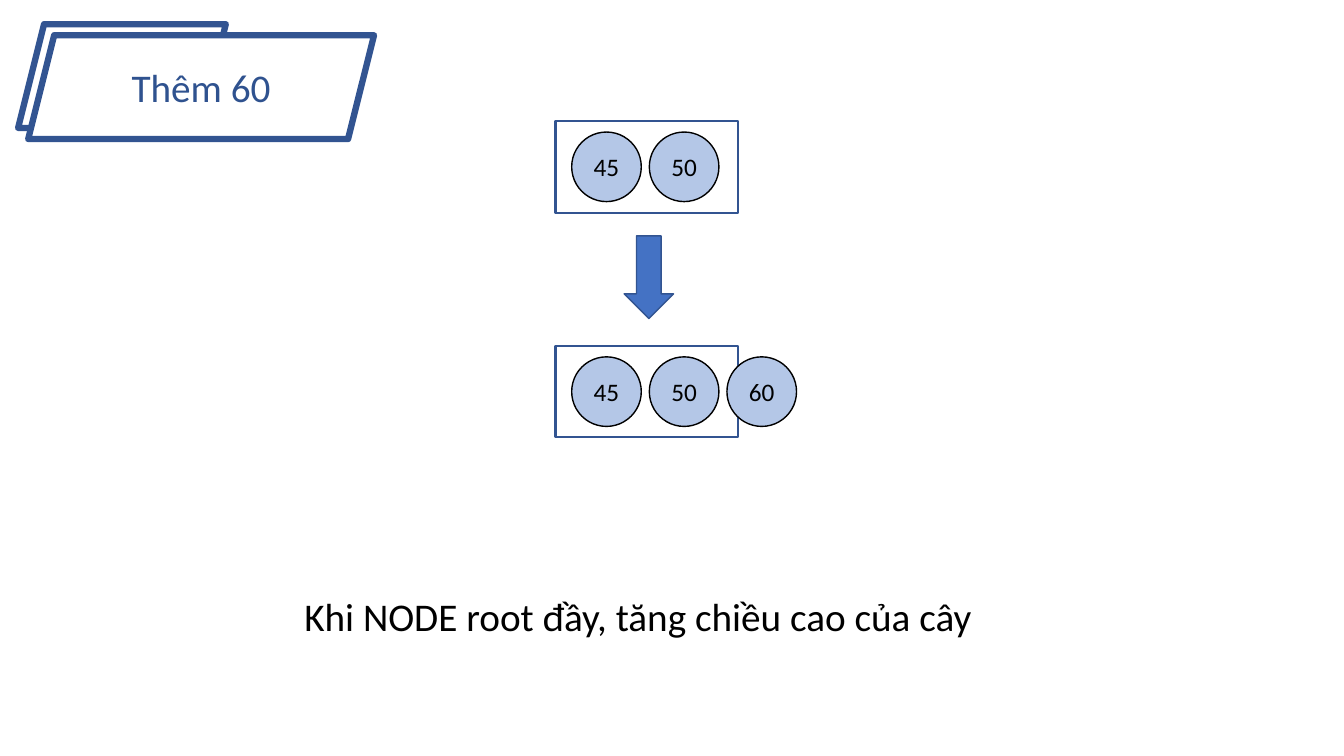
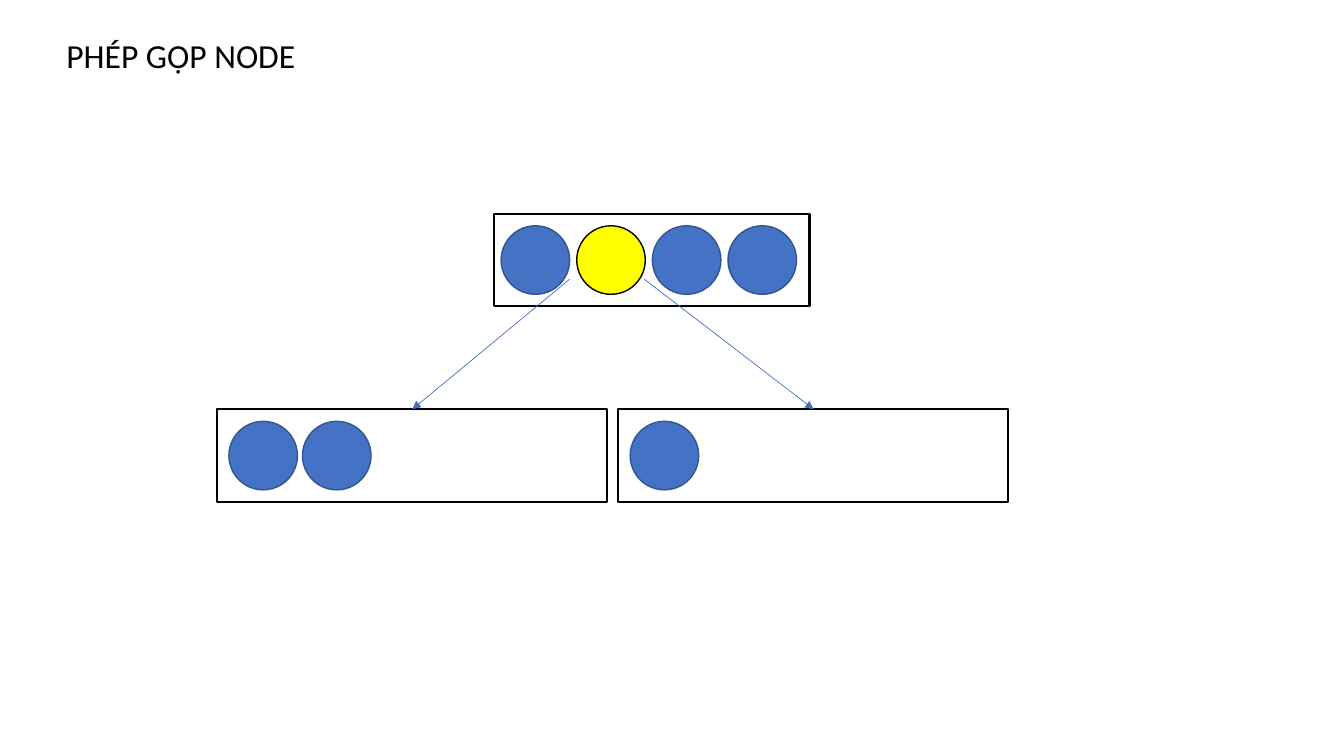
from dataclasses import dataclass
from typing import Optional

from lxml.etree import SubElement
from pptx import Presentation
from pptx.dml.color import RGBColor
from pptx.enum.shapes import MSO_CONNECTOR, MSO_SHAPE
from pptx.enum.text import MSO_ANCHOR, PP_ALIGN
from pptx.oxml.ns import qn
from pptx.shapes.autoshape import Shape
from pptx.slide import Slide
from pptx.util import Inches, Pt

BLACK = RGBColor(0x00, 0x00, 0x00)
WHITE = RGBColor(0xFF, 0xFF, 0xFF)
BLUE = RGBColor(0x44, 0x72, 0xC4)
NAVY = RGBColor(0x32, 0x54, 0x91)
TITLE_BLUE = RGBColor(0x2F, 0x52, 0x8F)
PALE_BLUE = RGBColor(0xB4, 0xC7, 0xE7)
YELLOW = RGBColor(0xFF, 0xFF, 0x00)
FONT = "Calibri"


@dataclass(frozen=True)
class KeyStyle:
    fill: RGBColor
    line: RGBColor
    size: float


LABELLED = KeyStyle(PALE_BLUE, BLACK, 0.69)
PLAIN = KeyStyle(BLUE, NAVY, 0.68)
PICKED = KeyStyle(YELLOW, BLACK, 0.68)


@dataclass(frozen=True)
class Key:
    style: KeyStyle
    label: str = ""


@dataclass(frozen=True)
class Node:
    left: float
    top: float
    width: float
    height: float
    line: RGBColor
    keys: tuple[Key, ...]
    inset: float
    pitch: float


@dataclass(frozen=True)
class Link:
    x1: float
    y1: float
    x2: float
    y2: float


KEY_45, KEY_50, KEY_60 = (Key(LABELLED, n) for n in ("45", "50", "60"))
INSERT_NODES = (
    Node(5.51, 1.2, 1.81, 0.91, NAVY, (KEY_45, KEY_50), 0.16, 0.77),
    Node(5.51, 3.43, 1.81, 0.91, NAVY, (KEY_45, KEY_50, KEY_60), 0.16, 0.77),
)
MERGE_NODES = (
    Node(4.9, 2.12, 3.13, 0.92, BLACK,
         (Key(PLAIN), Key(PICKED), Key(PLAIN), Key(PLAIN)), 0.07, 0.75),
    Node(2.15, 4.06, 3.87, 0.92, BLACK, (Key(PLAIN),) * 2, 0.12, 0.73),
    Node(6.13, 4.06, 3.87, 0.92, BLACK, (Key(PLAIN),), 0.12, 0.73),
)
MERGE_LINKS = (Link(5.65, 2.77, 4.09, 4.06), Link(6.39, 2.77, 8.07, 4.06))


def add_box(s: Slide, kind: MSO_SHAPE, left: float, top: float, width: float,
            height: float, fill: RGBColor, line: RGBColor, weight: float) -> Shape:
    sp = s.shapes.add_shape(kind, Inches(left), Inches(top), Inches(width), Inches(height))
    sp.shadow.inherit = False
    sp.fill.solid()
    sp.fill.fore_color.rgb = fill
    sp.line.color.rgb = line
    sp.line.width = Pt(weight)
    return sp


def write(sp: Shape, text: str, size: int, color: RGBColor,
          align: Optional[PP_ALIGN] = None) -> None:
    tf = sp.text_frame
    tf.word_wrap = True
    tf.text = text
    p = tf.paragraphs[0]
    p.alignment = align
    font = p.runs[0].font
    font.name, font.size, font.color.rgb = FONT, Pt(size), color


def add_text(s: Slide, left: float, top: float, width: float, height: float,
             text: str, size: int) -> None:
    sp = s.shapes.add_textbox(Inches(left), Inches(top), Inches(width), Inches(height))
    write(sp, text, size, BLACK)


def add_centred(sp: Shape, text: str, size: int, color: RGBColor) -> None:
    sp.text_frame.vertical_anchor = MSO_ANCHOR.MIDDLE
    write(sp, text, size, color, PP_ALIGN.CENTER)


def add_node(s: Slide, node: Node) -> None:
    """Draw a node frame and its evenly spaced keys."""
    add_box(s, MSO_SHAPE.RECTANGLE, node.left, node.top, node.width, node.height,
            WHITE, node.line, 1.5)
    for i, key in enumerate(node.keys):
        size = key.style.size
        sp = add_box(s, MSO_SHAPE.OVAL, node.left + node.inset + i * node.pitch,
                     node.top + (node.height - size) / 2, size, size,
                     key.style.fill, key.style.line, 1)
        if key.label:
            add_centred(sp, key.label, 18, BLACK)


def add_link(s: Slide, link: Link) -> None:
    cx = s.shapes.add_connector(MSO_CONNECTOR.STRAIGHT, Inches(link.x1), Inches(link.y1),
                                Inches(link.x2), Inches(link.y2))
    cx.line.color.rgb = BLUE
    cx.line.width = Pt(0.5)
    SubElement(cx.line._get_or_add_ln(), qn("a:tailEnd"), type="triangle")
    SubElement(cx._element.spPr, qn("a:effectLst"))


def add_banner(s: Slide, text: str) -> None:
    """Draw the title on two overlapping parallelograms."""
    add_box(s, MSO_SHAPE.PARALLELOGRAM, 0.18, 0.24, 2.06, 1.03, WHITE, NAVY, 4.5)
    sp = add_box(s, MSO_SHAPE.PARALLELOGRAM, 0.28, 0.35, 3.43, 1.03, WHITE, NAVY, 4.5)
    add_centred(sp, text, 28, TITLE_BLUE)


def build_insert(s: Slide) -> None:
    for node in INSERT_NODES:
        add_node(s, node)
    add_box(s, MSO_SHAPE.DOWN_ARROW, 6.19, 2.34, 0.49, 0.82, BLUE, NAVY, 1)
    add_banner(s, "Thêm 60")
    add_text(s, 2.92, 5.83, 7.19, 0.57, "Khi NODE root đầy, tăng chiều cao của cây", 28)


def build_merge(s: Slide) -> None:
    add_text(s, 0.56, 0.3, 2.85, 0.5, "PHÉP GỘP NODE", 24)
    for node in MERGE_NODES:
        add_node(s, node)
    for link in MERGE_LINKS:
        add_link(s, link)


def main() -> None:
    prs = Presentation()
    prs.slide_width, prs.slide_height = Inches(13.33), Inches(7.5)
    blank = prs.slide_layouts[6]
    for build in (build_insert, build_merge):
        build(prs.slides.add_slide(blank))
    prs.save("out.pptx")


if __name__ == "__main__":
    main()
